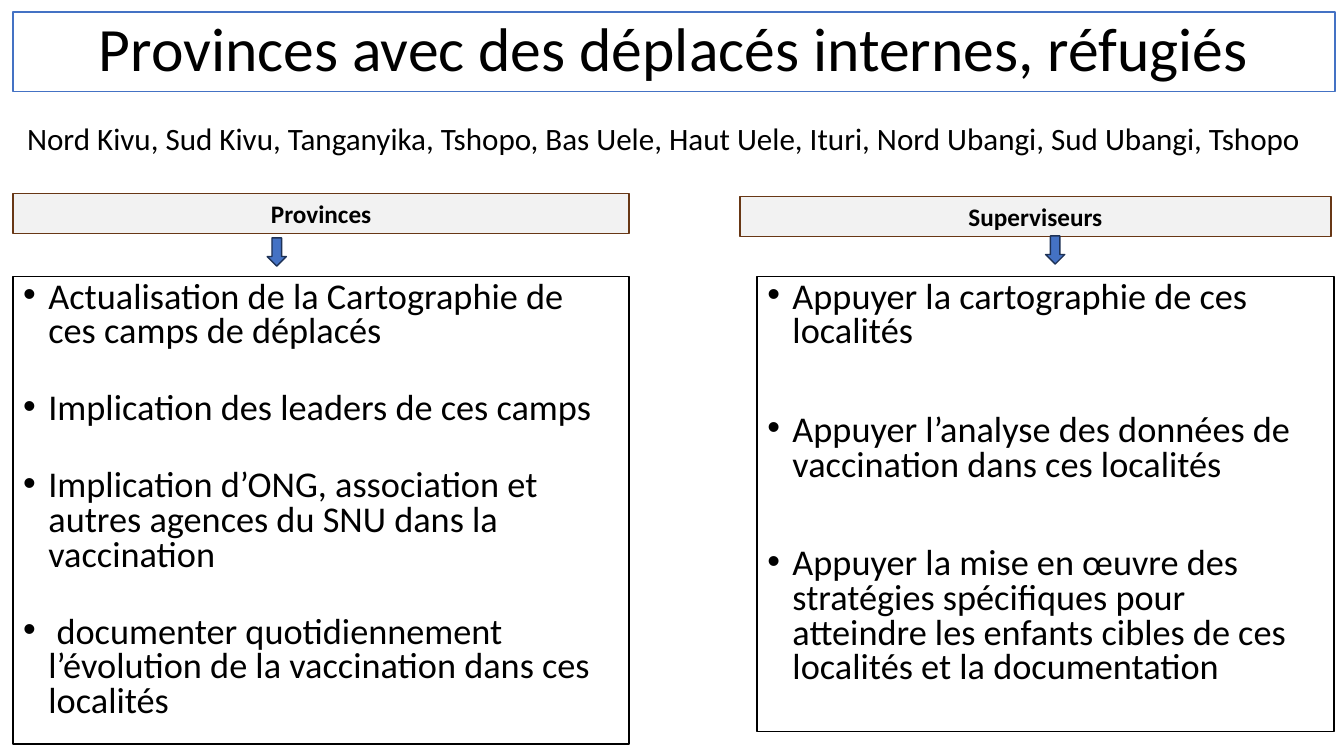
from pptx import Presentation
from pptx.dml.color import RGBColor
from pptx.enum.shapes import MSO_SHAPE
from pptx.enum.text import MSO_ANCHOR, MSO_AUTO_SIZE, PP_ALIGN
from pptx.util import Inches, Pt

RECT, ARROW = MSO_SHAPE.RECTANGLE, MSO_SHAPE.DOWN_ARROW
TOP, MIDDLE = MSO_ANCHOR.TOP, MSO_ANCHOR.MIDDLE
LEFT, CENTER = PP_ALIGN.LEFT, PP_ALIGN.CENTER
FIXED = MSO_AUTO_SIZE.NONE

BLACK = RGBColor(0x00, 0x00, 0x00)
WHITE = RGBColor(0xFF, 0xFF, 0xFF)
GRAY = RGBColor(0xF2, 0xF2, 0xF2)
BROWN = RGBColor(0x68, 0x37, 0x15)
BLUE = RGBColor(0x44, 0x72, 0xC4)
NAVY = RGBColor(0x1E, 0x32, 0x56)

TITLE = "Provinces avec des déplacés internes, réfugiés"
PLACES = ("Nord Kivu, Sud Kivu, Tanganyika, Tshopo, Bas Uele, Haut Uele, "
          "Ituri, Nord Ubangi, Sud Ubangi, Tshopo")
COLUMNS = [
    {"head": "Provinces", "head_at": (0.13, 1.92, 6.11, 0.4),
     "arrow_at": (2.65, 2.36, 0.19, 0.28),
     "list_at": (0.13, 2.74, 6.11, 4.64), "gap": 30,
     "items": ["Actualisation de la Cartographie de ces camps de déplacés",
               "Implication des leaders de ces camps",
               "Implication d’ONG, association et autres agences du SNU "
               "dans la vaccination",
               " documenter quotidiennement l’évolution de la vaccination "
               "dans ces localités"]},
    {"head": "Superviseurs", "head_at": (7.34, 1.95, 5.86, 0.4),
     "arrow_at": (10.37, 2.34, 0.19, 0.28),
     "list_at": (7.51, 2.74, 5.72, 4.52), "gap": 45.3,
     "items": ["Appuyer la cartographie de ces localités",
               "Appuyer l’analyse des données de vaccination dans ces "
               "localités",
               "Appuyer la mise en œuvre des stratégies spécifiques pour "
               "atteindre les enfants cibles de ces localités et la "
               "documentation"]},
]


def place(shape, at):
    shape.left, shape.top, shape.width, shape.height = map(Inches, at)


def paint(shape, fill, line):
    shape.fill.solid()
    shape.fill.fore_color.rgb = fill
    shape.line.color.rgb = line
    shape.line.width = Pt(1)


def write(shape, lines, size, gap=0, anchor=TOP, bold=False, **style):
    """Fill a shape with paragraphs, gap points apart, in one style."""
    frame = shape.text_frame
    frame.text = "\n".join(lines)
    frame.word_wrap = True
    frame.auto_size = FIXED
    frame.vertical_anchor = anchor
    look = {"name": "Calibri", "size": Pt(size), "bold": bold}
    for i, para in enumerate(frame.paragraphs):
        para.space_before = Pt(gap if i else 0)
        for key, value in style.items():
            setattr(para, key, value)
        for run in para.runs:
            for key, value in look.items():
                setattr(run.font, key, value)
            run.font.color.rgb = BLACK


def add(slide, kind, at, fill, line):
    shape = slide.shapes.add_shape(kind, *map(Inches, at))
    shape.shadow.inherit = False
    paint(shape, fill, line)
    return shape


def main():
    deck = Presentation()
    deck.slide_width, deck.slide_height = Inches(13.33), Inches(7.5)
    slide = deck.slides.add_slide(deck.slide_layouts[3])
    title, *bodies = slide.placeholders

    place(title, (0.13, 0.12, 13.11, 0.79))
    paint(title, WHITE, BLUE)
    write(title, [TITLE], 44, anchor=MIDDLE, alignment=CENTER,
          line_spacing=0.9)

    for body, col in zip(bodies, COLUMNS):
        place(body, col["list_at"])
        paint(body, WHITE, BLACK)
        write(body, col["items"], 25.9, col["gap"], alignment=LEFT,
              line_spacing=0.8)
        for para in body.text_frame.paragraphs:
            props = para._p.get_or_add_pPr()
            props.set("marL", str(Inches(0.25)))
            props.set("indent", str(-Inches(0.25)))

        head = add(slide, RECT, col["head_at"], GRAY, BROWN)
        write(head, [col["head"]], 18, anchor=MIDDLE, bold=True,
              alignment=CENTER)
        add(slide, ARROW, col["arrow_at"], BLUE, NAVY)

    places = slide.shapes.add_textbox(*map(Inches, (0.17, 1.18, 13.06, 0.67)))
    write(places, [PLACES], 22.2, line_spacing=0.9)
    deck.save("out.pptx")


if __name__ == "__main__":
    main()
